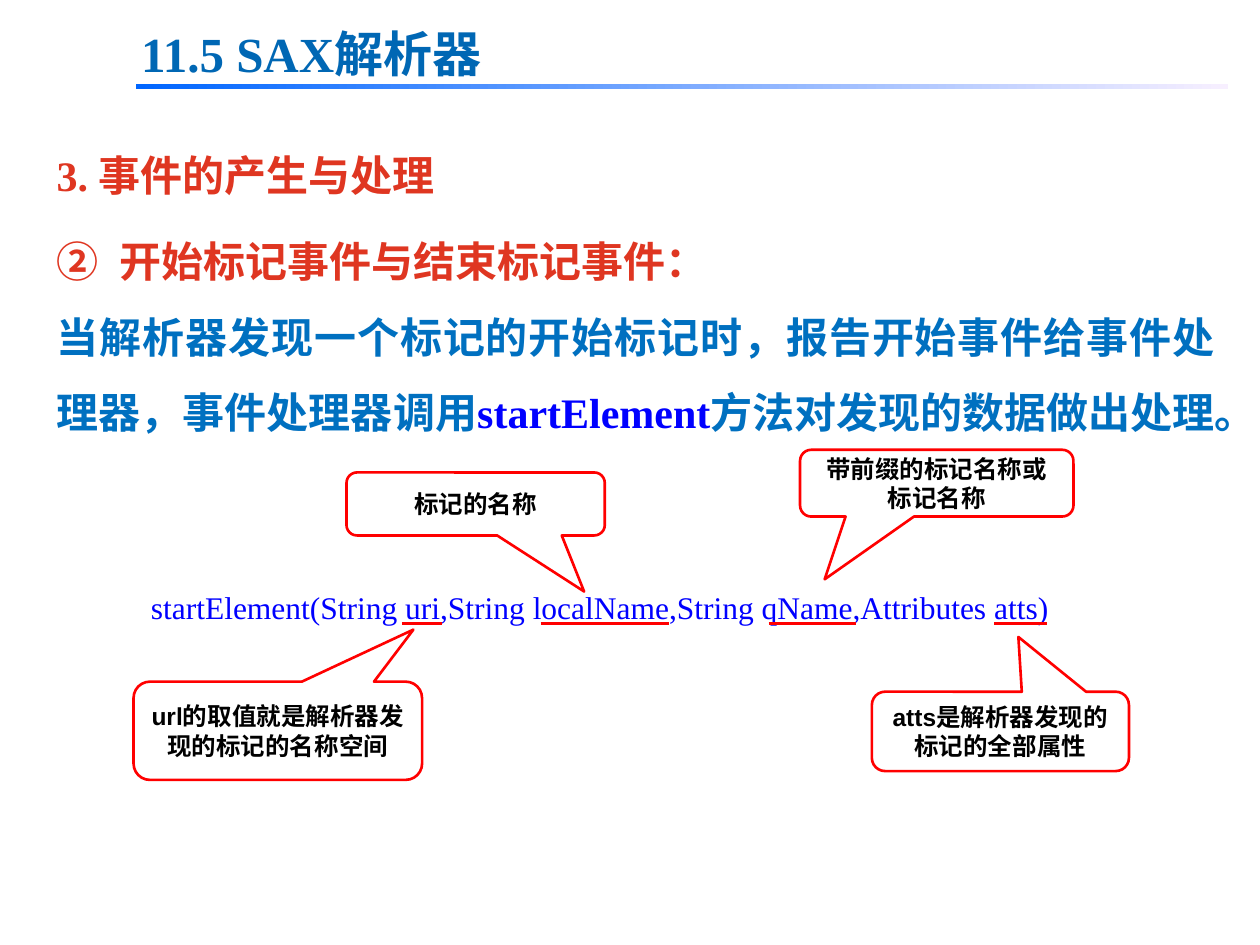
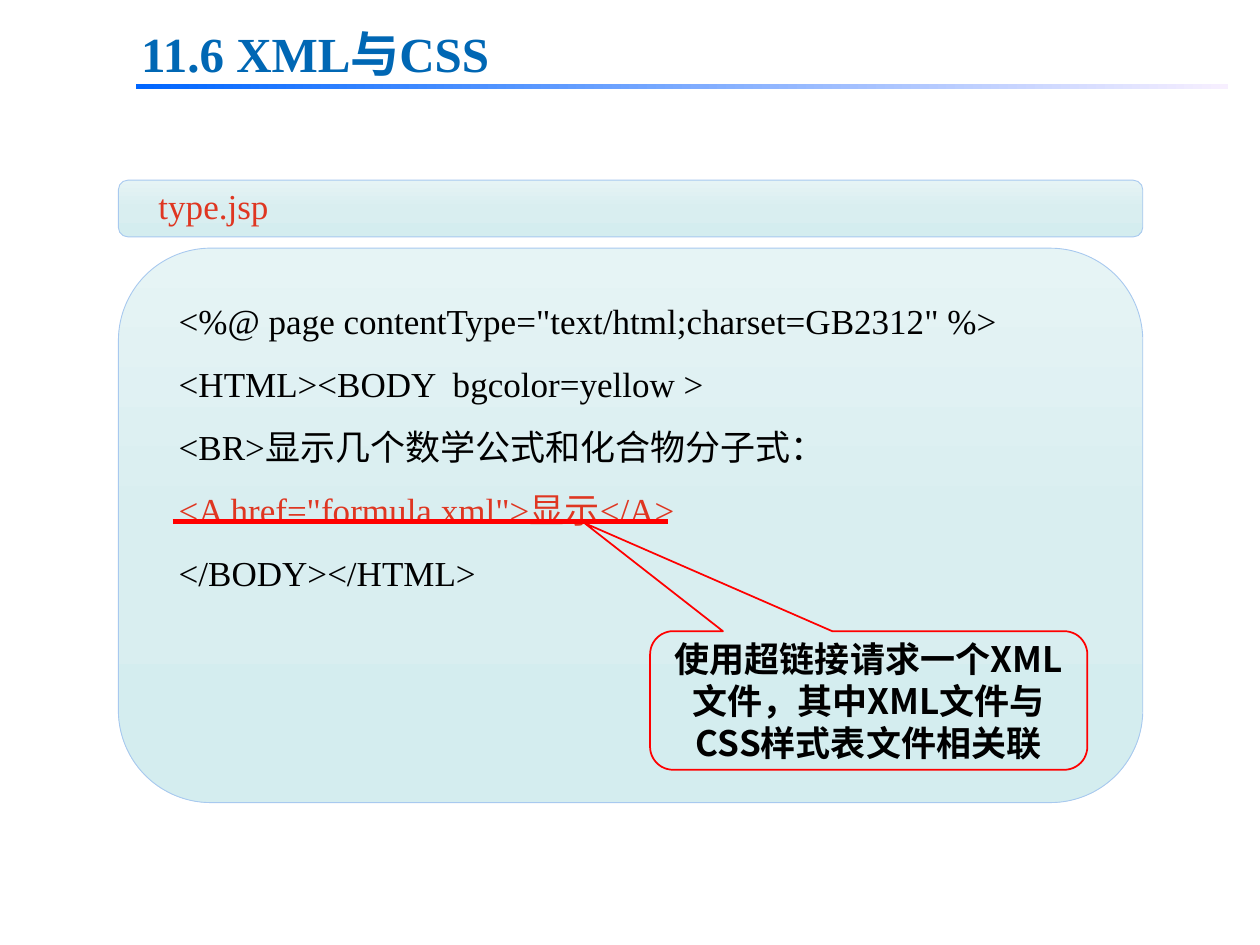
from lxml import etree
from pptx import Presentation
from pptx.dml.color import RGBColor
from pptx.enum.shapes import MSO_CONNECTOR, MSO_SHAPE
from pptx.enum.text import MSO_ANCHOR, MSO_AUTO_SIZE, PP_ALIGN
from pptx.oxml.ns import qn
from pptx.util import Inches, Pt

STRAIGHT = MSO_CONNECTOR.STRAIGHT
RECTANGLE = MSO_SHAPE.RECTANGLE
ROUNDED = MSO_SHAPE.ROUNDED_RECTANGLE
CALLOUT = MSO_SHAPE.ROUNDED_RECTANGULAR_CALLOUT
TOP, MIDDLE = MSO_ANCHOR.TOP, MSO_ANCHOR.MIDDLE
CENTER, JUSTIFY, LEFT = PP_ALIGN.CENTER, PP_ALIGN.JUSTIFY, PP_ALIGN.LEFT
NO_AUTOFIT = MSO_AUTO_SIZE.NONE

SERIF, SANS, CJK = "Times New Roman", "Arial", "Noto Sans CJK SC"
COLORS = {
    "header": "0067B4", "heading": "DF3621", "body": "0070C0",
    "code": "0000FF", "mark": "FF0000", "text": "000000",
    "white": "FFFFFF", "panel_line": "A8C9EF",
}
BAR_STOPS = [(0, "0066FF"), (100, "F7EFFF")]
PANEL_STOPS = [(0, "E6F4F5"), (50, "D9EEF0"), (100, "D4EDEF")]


def write(paragraph, text, size, color, font=SERIF, bold=False, align=LEFT, spacing=1.0):
    if text:
        paragraph.text = text
    paragraph.alignment = align
    paragraph.line_spacing = spacing
    paragraph.space_before = Pt(0)
    paragraph.font.size = Pt(size)
    paragraph.font.name = font
    paragraph.font.bold = bold
    paragraph.font.color.rgb = RGBColor.from_string(COLORS[color])


def add_gradient_shape(slide, kind, box, stops, angle):
    """Add a shape with a linear gradient; the angle runs counter-clockwise."""
    shape = slide.shapes.add_shape(kind, *map(Inches, box))
    shape.shadow.inherit = False
    shape.fill.gradient()
    shape.fill.gradient_angle = angle
    stop_list = shape._element.spPr.find(".//" + qn("a:gsLst"))
    for old_stop in list(stop_list):
        stop_list.remove(old_stop)
    for position, color in stops:
        stop = etree.SubElement(stop_list, qn("a:gs"), pos=str(position * 1000))
        etree.SubElement(stop, qn("a:srgbClr"), val=color)
    shape.line.fill.background()
    return shape


presentation = Presentation()
presentation.slide_width, presentation.slide_height = Inches(10), Inches(7.5)
content_layout, title_layout = (presentation.slide_layouts[i] for i in (1, 5))

# Section header and gradient rule on both slides
slides = []
for layout, header in [(content_layout, "11.5 SAX解析器"), (title_layout, "11.6 XML与CSS")]:
    slide = presentation.slides.add_slide(layout)
    title = slide.shapes.title
    title.left, title.top, title.width, title.height = map(Inches, (1.02, 0.14, 5.09, 0.57))
    title.text_frame.auto_size = NO_AUTOFIT
    title.text_frame.vertical_anchor = TOP
    write(title.text_frame.paragraphs[0], header, 28, "header", bold=True, align=JUSTIFY)
    add_gradient_shape(slide, RECTANGLE, (1.08, 0.67, 8.67, 0.04), BAR_STOPS, 0)
    slides.append(slide)
sax_slide, css_slide = slides

# SAX slide: numbered heading and explanation
body = sax_slide.placeholders[1]
body.left, body.top, body.width, body.height = map(Inches, (0.35, 1.62, 9.39, 5.67))
body.text_frame.auto_size = NO_AUTOFIT
event_heading = body.text_frame.paragraphs[0]
explanation = body.text_frame.add_paragraph()
for paragraph, margin, bullet, attributes in [
    (event_heading, 0.5, "a:buAutoNum", {"type": "circleNumDbPlain", "startAt": "2"}),
    (explanation, 0, "a:buNone", {}),
]:
    properties = paragraph._p.get_or_add_pPr()
    properties.set("marL", str(Inches(margin)))
    properties.set("indent", str(-Inches(margin)))
    etree.SubElement(properties, qn(bullet), attributes)
write(event_heading, "开始标记事件与结束标记事件：", 24, "heading",
      bold=True, align=JUSTIFY, spacing=1.5)
for text, color in [
    ("当解析器发现一个标记的开始标记时，报告开始事件给事件处理器，事件处理器调用", "body"),
    ("startElement", "code"),
    ("方法对发现的数据做出处理。", "body"),
]:
    run = explanation.add_run()
    run.text = text
    run.font.color.rgb = RGBColor.from_string(COLORS[color])
write(explanation, "", 24, "body", bold=True, align=JUSTIFY, spacing=1.5)

# Text boxes: slide, box, wrap, anchor, size, spacing, lines
jsp_lines = [
    ('<%@ page contentType="text/html;charset=GB2312" %>', "text"),
    ("<HTML><BODY  bgcolor=yellow >", "text"),
    ("<BR>显示几个数学公式和化合物分子式：", "text"),
    ('<A href="formula.xml">显示</A>', "heading"),
    ("</BODY></HTML>", "text"),
]
signature = "startElement(String uri,String localName,String qName,Attributes atts)"
for box in [(0.94, 1.97, 8.13, 4.4), (0.94, 1.43, 8.13, 0.45)]:
    panel = add_gradient_shape(css_slide, ROUNDED, box, PANEL_STOPS, 270)
    panel.line.color.rgb = RGBColor.from_string(COLORS["panel_line"])
    panel.line.width = Pt(0.5)

for slide, box, wrap, anchor, size, spacing, bold, lines in [
    (sax_slide, (0.35, 1.08, 6.95, 0.62), True, MIDDLE, 24, 1.0, True,
     [("3. 事件的产生与处理", "heading")]),
    (sax_slide, (1.1, 4.47, 7.33, 0.55), False, TOP, 18, 1.5, False, [(signature, "code")]),
    (css_slide, (1.32, 2.16, 7.68, 2.62), True, TOP, 20, 1.5, False, jsp_lines),
    (css_slide, (1.16, 1.25, 3, 0.6), True, TOP, 20, 1.5, False, [("type.jsp", "heading")]),
]:
    frame = slide.shapes.add_textbox(*map(Inches, box)).text_frame
    frame.word_wrap = wrap
    frame.vertical_anchor = anchor
    for number, (text, color) in enumerate(lines):
        paragraph = frame.add_paragraph() if number else frame.paragraphs[0]
        write(paragraph, text, size, color, bold=bold, spacing=spacing)

# Red underlines: slide, y, start and end
for slide, y, start, end in [
    (sax_slide, 4.95, 3.19, 3.51),
    (sax_slide, 4.95, 4.29, 5.31),
    (sax_slide, 4.95, 6.1, 6.79),
    (sax_slide, 4.95, 7.89, 8.31),
    (css_slide, 4.14, 1.37, 5.3),
]:
    underline = slide.shapes.add_connector(STRAIGHT, *map(Inches, (start, y, end, y)))
    underline.line.color.rgb = RGBColor.from_string(COLORS["mark"])
    underline.line.width = Pt(2.5 if slide is css_slide else 2)
    etree.SubElement(underline._element.spPr, qn("a:effectLst"))

# Callouts: slide, box, pointer offset, text
for slide, box, pointer, text in [
    (sax_slide, (6.92, 5.49, 2.04, 0.63), (0.07, -1.19), "atts是解析器发现的标记的全部属性"),
    (sax_slide, (1.06, 5.41, 2.29, 0.78), (0.47, -1.03), "url的取值就是解析器发现的标记的名称空间"),
    (sax_slide, (2.75, 3.75, 2.05, 0.5), (0.42, 1.39), "标记的名称"),
    (sax_slide, (6.35, 3.57, 2.17, 0.53), (-0.41, 1.44), "带前缀的标记名称或标记名称"),
    (css_slide, (5.16, 5.01, 3.47, 1.1), (-0.65, -1.28),
     "使用超链接请求一个XML文件，其中XML文件与CSS样式表文件相关联"),
]:
    callout = slide.shapes.add_shape(CALLOUT, *map(Inches, box))
    callout.shadow.inherit = False
    callout.adjustments[0], callout.adjustments[1] = pointer
    callout.line.color.rgb = RGBColor.from_string(COLORS["mark"])
    callout.text_frame.word_wrap = True
    callout.text_frame.vertical_anchor = MIDDLE
    if slide is sax_slide:
        callout.fill.solid()
        callout.fill.fore_color.rgb = RGBColor.from_string(COLORS["white"])
        line_width, size, font = 1.5, 14, SANS
    else:
        callout.fill.background()
        line_width, size, font = 1, 20, CJK
    callout.line.width = Pt(line_width)
    write(callout.text_frame.paragraphs[0], text, size, "text", font, bold=True, align=CENTER)

presentation.save("out.pptx")
